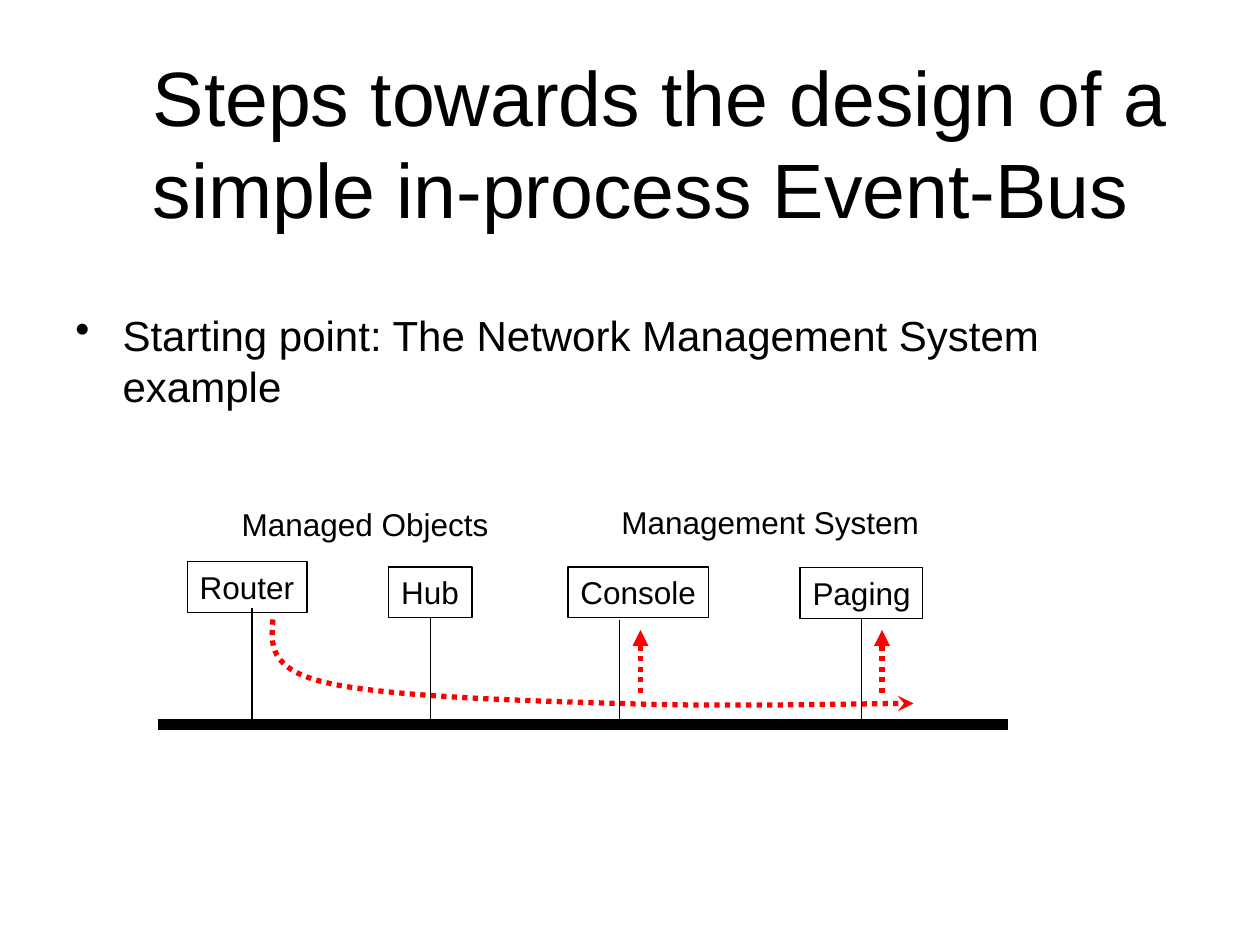
from pptx import Presentation
from pptx.dml.color import RGBColor
from pptx.enum.dml import MSO_LINE
from pptx.enum.shapes import MSO_CONNECTOR, MSO_SHAPE
from pptx.enum.text import MSO_ANCHOR, MSO_AUTO_SIZE, PP_ALIGN
from pptx.oxml.ns import qn
from pptx.oxml.xmlchemy import OxmlElement
from pptx.util import Pt

STRAIGHT = MSO_CONNECTOR.STRAIGHT
RECT = MSO_SHAPE.RECTANGLE
DOTTED = MSO_LINE.ROUND_DOT  # written as sysDot
TOP, MIDDLE = MSO_ANCHOR.TOP, MSO_ANCHOR.MIDDLE
LEFT = PP_ALIGN.LEFT
FIT = MSO_AUTO_SIZE.SHAPE_TO_FIT_TEXT
BOTTOM_SIDE = 2
BLACK, RED = "000000", "FF0000"
TIGHT = dict(word_wrap=False, auto_size=FIT, margin_right=Pt(4))


def color(hex_value):
    return RGBColor.from_string(hex_value)


def add_xml(parent, tag, **attrs):
    el = OxmlElement(tag)
    for name, value in attrs.items():
        el.set(name, value)
    parent.append(el)
    return el


def write(sp, text, size, **frame):
    tf = sp.text_frame
    settings = dict(word_wrap=True, vertical_anchor=TOP, margin_left=Pt(7.2),
                    margin_right=Pt(7.2), margin_top=Pt(3.6), margin_bottom=Pt(3.6))
    for name, value in {**settings, **frame}.items():
        setattr(tf, name, value)
    p = tf.paragraphs[0]
    p.alignment = LEFT
    for i, line in enumerate(text.split("\n")):
        if i:
            p.add_line_break()
        r = p.add_run()
        r.text = line
        for name, value in dict(name="Arial", size=Pt(size)).items():
            setattr(r.font, name, value)
        r.font.color.rgb = color(BLACK)
    return p


def style_line(sp, hex_value, width, dash=None, tail=None):
    sp.line.color.rgb = color(hex_value)
    sp.line.width = Pt(width)
    if dash:
        sp.line.dash_style = dash
    if tail:
        add_xml(sp.line._get_or_add_ln(), "a:tailEnd", type=tail)


def add_line(s, x1, y1, x2, y2, hex_value=BLACK, width=0.75, **style):
    cn = s.shapes.add_connector(STRAIGHT, Pt(x1), Pt(y1), Pt(x2), Pt(y2))
    style_line(cn, hex_value, width, **style)
    add_xml(cn._element.spPr, "a:effectLst")
    return cn


def add_title(s, x, y, w, h):
    sp = s.shapes.add_textbox(Pt(x), Pt(y), Pt(w), Pt(h))
    p = write(sp, "Steps towards the design of a\nsimple in-process Event-Bus", 44,
              vertical_anchor=MIDDLE, margin_left=Pt(51.3), margin_right=Pt(0))
    p.font.size = Pt(44)


def add_body(s, x, y, w, h):
    sp = s.shapes.add_textbox(Pt(x), Pt(y), Pt(w), Pt(h))
    p = write(sp, "Starting point: The Network Management System example", 24,
              margin_top=Pt(35))
    pPr = p._p.get_or_add_pPr()
    pPr.set("marL", str(Pt(27)))
    pPr.set("indent", str(-Pt(27)))
    add_xml(pPr, "a:buChar", char="•")
    p.font.size = Pt(24)


def add_label(s, text, x, y, w, h=29):
    sp = s.shapes.add_textbox(Pt(x), Pt(y), Pt(w), Pt(h))
    write(sp, text, 18, **TIGHT)


def add_node(s, text, x, y, w, h=29):
    sp = s.shapes.add_shape(RECT, Pt(x), Pt(y), Pt(w), Pt(h))
    sp.shadow.inherit = False
    sp.fill.background()
    style_line(sp, BLACK, 0.75)
    write(sp, text, 18, **TIGHT)
    return sp


def add_event_curve(s, points):
    """Draw cubic curves through a start point and triples of curve points."""
    emu = [(Pt(x), Pt(y)) for x, y in points]
    builder = s.shapes.build_freeform(*emu[0])
    builder.add_line_segments(emu[1:], close=False)
    sp = builder.convert_to_shape()
    outline = next(sp._element.iter(qn("a:path")))
    segments = outline.findall(qn("a:lnTo"))
    for i in range(0, len(segments), 3):
        curve = add_xml(outline, "a:cubicBezTo")
        for segment in segments[i:i + 3]:
            curve.append(segment[0])
            outline.remove(segment)
    sp.shadow.inherit = False
    sp.fill.background()
    style_line(sp, RED, 3, dash=DOTTED, tail="stealth")


def add_bus_diagram(s, x, y, w, h):
    bus_y = y + h
    # Group labels
    add_label(s, "Managed Objects", x + 41, y + 1.4, 155.5)
    add_label(s, "Management System", x + 258, y, 184)

    # Event bus
    add_line(s, x, bus_y, x + w, bus_y, width=6)

    # Nodes: text, left, top, width, stem start (None: middle of the bottom side)
    nodes = [("Router", 17, 37.3, 68.5, (54, 64)),
             ("Hub", 132.2, 40.3, 47.5, None),
             ("Console", 234.5, 40.3, 80.3, (264, 70.5)),
             ("Paging", 367.2, 40.7, 70, None)]
    for text, left, top, width, stem in nodes:
        node = add_node(s, text, x + left, y + top, width)
        stem_x, stem_y = stem or (left + width / 2, top + 29)
        cn = add_line(s, x + stem_x, y + stem_y, x + stem_x, bus_y)
        if stem is None:
            cn.begin_connect(node, BOTTOM_SIDE)

    # Event travelling along the bus
    track = [(66, -60), (64.8, -46), (63.5, -31.5), (96, -24), (129, -16),
             (208, -13.5), (264, -12), (320, -10), (404, -12), (432, -12)]
    add_event_curve(s, [(x + dx, bus_y + dy) for dx, dy in track])

    # Deliveries to the management system
    for dx in (276, 414):
        add_line(s, x + dx, bus_y - 18, x + dx, bus_y - 54, RED, 3,
                 dash=DOTTED, tail="triangle")


def main():
    prs = Presentation()
    prs.slide_width, prs.slide_height = Pt(720), Pt(540)
    s = prs.slides.add_slide(prs.slide_layouts[6])
    add_title(s, 36, 36, 684, 90)
    add_body(s, 36, 142, 648, 356)
    add_bus_diagram(s, 90, 283.7, 486, 130.3)
    prs.save("out.pptx")


if __name__ == "__main__":
    main()
